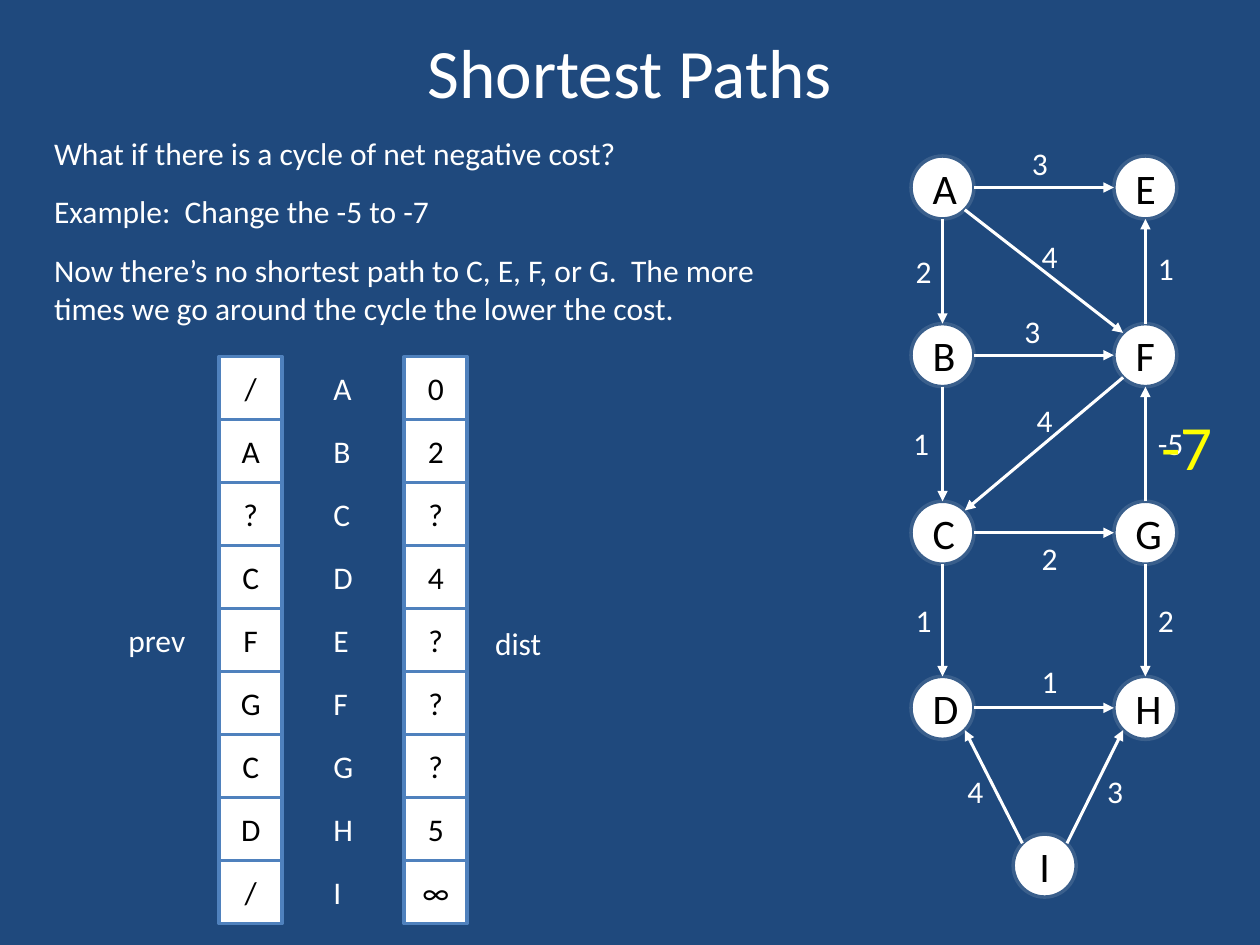
from math import copysign, hypot

from lxml.etree import SubElement
from pptx import Presentation
from pptx.dml.color import RGBColor
from pptx.enum.shapes import MSO_CONNECTOR as Connector, MSO_SHAPE as Shape
from pptx.enum.text import MSO_ANCHOR as Anchor, PP_ALIGN as Align
from pptx.oxml.ns import qn
from pptx.util import Cm, Pt

NAVY = RGBColor(0x1F, 0x49, 0x7D)
WHITE = RGBColor(0xFF, 0xFF, 0xFF)
BLACK = RGBColor(0, 0, 0)
YELLOW = RGBColor(0xFF, 0xFF, 0)
NODE_RING = RGBColor(0x3A, 0x5F, 0x8C)
CELL_BORDER = RGBColor(0x4F, 0x81, 0xBD)

SIDE = 1.27
LEFT_X, RIGHT_X = 19, 23.09
ROW_Y = (3.78, 7.16, 10.74, 14.27)
NODES = {
    **{name: (LEFT_X, y) for name, y in zip("ABCD", ROW_Y)},
    **{name: (RIGHT_X, y) for name, y in zip("EFGH", ROW_Y)},
    "I": (21.06, 17.45),
}
EDGES = (
    ("AE", "3", 20.55, 2.77),
    ("AB", "2", 18.21, 4.95),
    ("AF", "4", 20.75, 4.65),
    ("FE", "1", 23.09, 4.9),
    ("BF", "3", 20.4, 6.17),
    ("BC", "1", 18.16, 8.43),
    ("FC", "4", 20.65, 7.95),
    ("GF", "-5", 23.09, 8.43),
    ("CG", "2", 20.75, 10.74),
    ("CD", "1", 18.21, 11.99),
    ("GH", "2", 23.09, 11.99),
    ("DH", "1", 20.75, 13.23),
    ("ID", "4", 19.25, 15.44),
    ("IH", "3", 22.07, 15.44),
)
ARRAY_TOP = 7.19
PREV, DIST = "/A?CFGCD/", "02?4???5∞"
NOTES = (
    "What if there is a cycle of net negative cost?",
    "Example:  Change the -5 to -7",
    "Now there’s no shortest path to C, E, F, or G.  "
    "The more times we go around the cycle the lower the cost.",
)


def apply(target, values):
    for name, value in values.items():
        setattr(target, name, value)


def write(shape, lines, size, color, frame=None, **paragraph_format):
    text_frame = shape.text_frame
    apply(text_frame, {"word_wrap": True, **(frame or {})})
    text_frame.text = "\n".join(lines)
    for paragraph in text_frame.paragraphs:
        apply(paragraph, paragraph_format)
        font = paragraph.runs[0].font
        apply(font, {"name": "Calibri", "size": Pt(size)})
        font.color.rgb = color


def add_text(slide, lines, box, size=18, color=WHITE, frame=None, **paragraph_format):
    shape = slide.shapes.add_textbox(*map(Cm, box))
    write(shape, lines, size, color, frame, **paragraph_format)


def add_label(slide, text, left, top, width=0.84, height=1.02, **style):
    add_text(slide, [text], (left, top, width, height), frame={"word_wrap": False}, **style)


def add_box(slide, kind, text, left, top, size, border):
    shape = slide.shapes.add_shape(kind, Cm(left), Cm(top), Cm(SIDE), Cm(SIDE))
    shape.shadow.inherit = False
    shape.fill.solid()
    shape.fill.fore_color.rgb = WHITE
    shape.line.color.rgb = border
    shape.line.width = Pt(2)
    write(shape, [text], size, BLACK, {"vertical_anchor": Anchor.MIDDLE}, alignment=Align.CENTER)


def add_arrow(slide, start, end):
    (x1, y1), (x2, y2) = start, end
    step_x = copysign(1, x2 - x1) if x1 != x2 else 0
    step_y = copysign(1, y2 - y1) if y1 != y2 else 0
    reach = SIDE / 2 / hypot(step_x, step_y)
    dx, dy = step_x * reach, step_y * reach
    ends = (x1 + dx, y1 + dy, x2 - dx, y2 - dy)
    connector = slide.shapes.add_connector(Connector.STRAIGHT, *map(Cm, ends))
    connector.line.color.rgb = WHITE
    connector.line.width = Pt(1.75)
    SubElement(connector.line._get_or_add_ln(), qn("a:tailEnd"), type="triangle")
    SubElement(connector._element.spPr, qn("a:effectLst"))


def add_graph(slide):
    for name, (x, y) in NODES.items():
        add_box(slide, Shape.OVAL, name, x - SIDE / 2, y - SIDE / 2, 24, NODE_RING)
    for (start, end), weight, left, top in EDGES:
        add_arrow(slide, NODES[start], NODES[end])
        add_label(slide, weight, left, top, width=0.64 + 0.2 * (len(weight) + 0))
    add_label(slide, "-7", 23.16, 8.1, 1.55, 1.8, size=36, color=YELLOW)


def add_arrays(slide):
    for row, (name, previous, distance) in enumerate(zip(NODES, PREV, DIST)):
        top = ARRAY_TOP + row * SIDE
        add_box(slide, Shape.RECTANGLE, previous, 4.42, top, 18, CELL_BORDER)
        add_label(slide, name, 6.47, top + 0.13, 0.88)
        add_box(slide, Shape.RECTANGLE, distance, 8.15, top, 18, CELL_BORDER)
    add_label(slide, "prev", 2.34, 12.4, 1.68)
    add_label(slide, "dist", 9.73, 12.45, 1.45)


def main():
    presentation = Presentation()
    apply(presentation, {"slide_width": Cm(25.4), "slide_height": Cm(19.05)})
    slide = presentation.slides.add_slide(presentation.slide_layouts[6])
    slide.background.fill.solid()
    slide.background.fill.fore_color.rgb = NAVY
    add_text(slide, ["Shortest Paths"], (1.27, 0.43, 22.86, 1.98), 39.6,
             frame={"vertical_anchor": Anchor.MIDDLE}, alignment=Align.CENTER)
    add_text(slide, NOTES, (0.84, 2.57, 15.29, 4.19), space_after=Pt(12))
    add_graph(slide)
    add_arrays(slide)
    presentation.save("out.pptx")


main()
